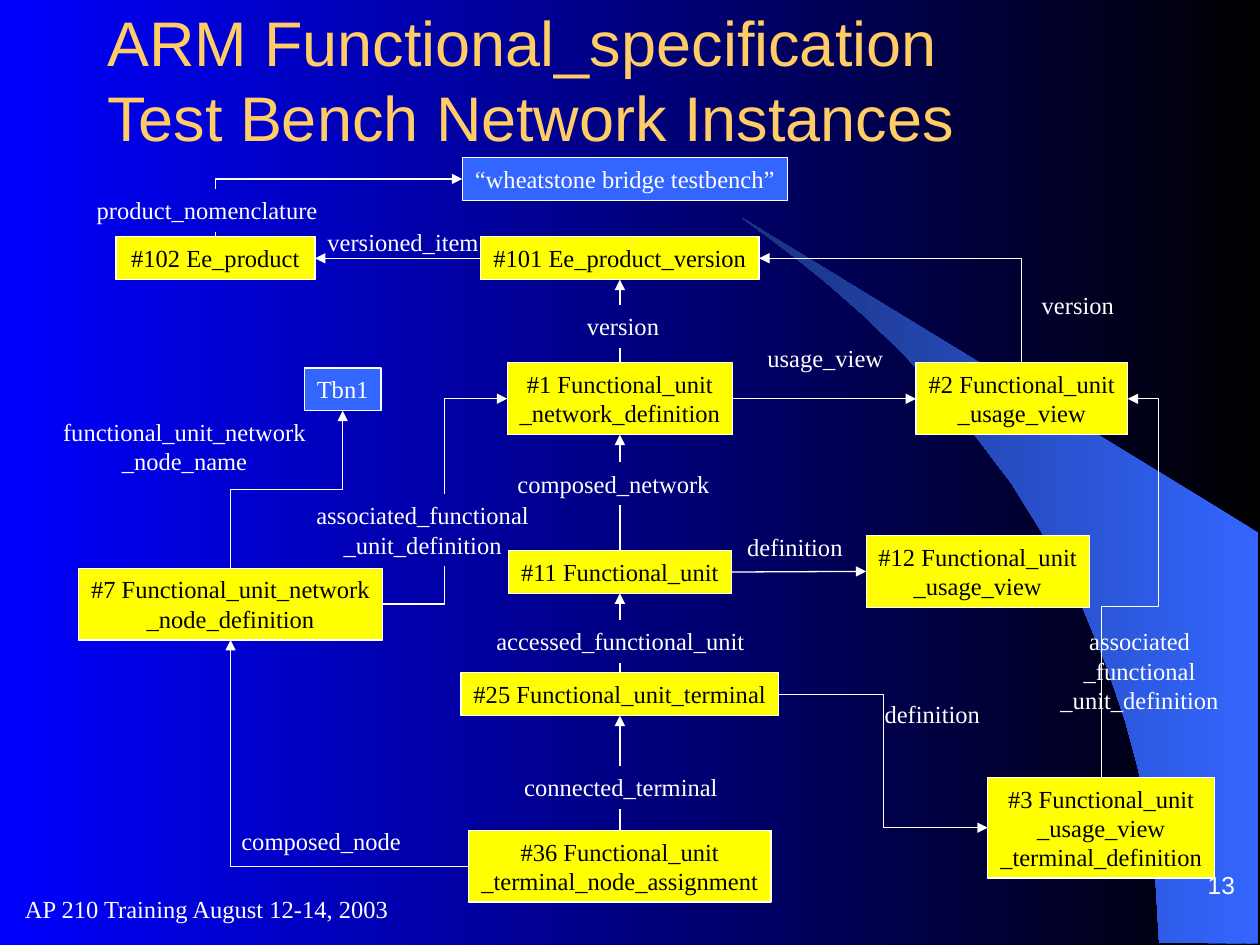
from lxml.etree import SubElement
from pptx import Presentation
from pptx.dml.color import RGBColor
from pptx.enum.shapes import MSO_CONNECTOR, MSO_SHAPE
from pptx.enum.text import MSO_ANCHOR, MSO_AUTO_SIZE, PP_ALIGN
from pptx.oxml.ns import qn
from pptx.util import Inches, Pt

TITLE = "ARM Functional_specification\nTest Bench Network Instances"
FOOTER = "AP 210 Training August 12-14, 2003"
PAGE = "13"

YELLOW, BLUE, WHITE, BLACK = "FFFF00", "3366FF", "FFFFFF", "000000"
SERIF = "Times New Roman"
SPINE = 4.92  # centre of the middle column

# key: text, centre x, top, width, fill, text colour
NODES = {
    "name": ("“wheatstone bridge testbench”", 4.96, 1.25, 2.58, BLUE, WHITE),
    "102": ("#102 Ee_product", 1.71, 1.88, 1.58, YELLOW, BLACK),
    "101": ("#101 Ee_product_version", SPINE, 1.88, 2.21, YELLOW, BLACK),
    "Tbn1": ("Tbn1", 2.72, 2.92, 0.61, BLUE, WHITE),
    "1": ("#1 Functional_unit\n_network_definition", SPINE, 2.88, 1.79, YELLOW, BLACK),
    "2": ("#2 Functional_unit\n_usage_view", 8.11, 2.88, 1.68, YELLOW, BLACK),
    "7": ("#7 Functional_unit_network\n_node_definition", 1.83, 4.51, 2.41, YELLOW, BLACK),
    "11": ("#11 Functional_unit", SPINE, 4.37, 1.77, YELLOW, BLACK),
    "12": ("#12 Functional_unit\n_usage_view", 7.76, 4.25, 1.77, YELLOW, BLACK),
    "25": ("#25 Functional_unit_terminal", SPINE, 5.34, 2.52, YELLOW, BLACK),
    "3": ("#3 Functional_unit\n_usage_view\n_terminal_definition", 8.74, 6.17, 1.8, YELLOW, BLACK),
    "36": ("#36 Functional_unit\n_terminal_node_assignment", SPINE, 6.59, 2.4, YELLOW, BLACK),
}

# connection sites of a rectangle
TOP, LEFT, BOTTOM, RIGHT = range(4)

# from, site, to, site, bends (0 is straight), adjustments
LINKS = [
    ("102", TOP, "name", LEFT, 1, ()),
    ("101", LEFT, "102", RIGHT, 0, ()),
    ("1", TOP, "101", BOTTOM, 0, ()),
    ("2", TOP, "101", RIGHT, 1, ()),
    ("1", RIGHT, "2", LEFT, 0, ()),
    ("11", TOP, "1", BOTTOM, 0, ()),
    ("11", RIGHT, "12", LEFT, 0, ()),
    ("7", TOP, "Tbn1", BOTTOM, 2, ()),
    ("7", RIGHT, "1", LEFT, 2, ()),
    ("25", TOP, "11", BOTTOM, 0, ()),
    ("25", RIGHT, "3", LEFT, 2, ()),
    ("3", TOP, "2", RIGHT, 3, (45200, 218000)),
    ("36", TOP, "25", BOTTOM, 0, ()),
    ("36", LEFT, "7", BOTTOM, 1, ()),
]

# text, left, top, width, whether it hides the line behind it
LABELS = [
    ("product_nomenclature", 0.67, 1.5, 1.95, True),
    ("versioned_item", 2.5, 1.75, 1.4, False),
    ("version", 4.56, 2.42, 0.77, True),
    ("version", 8.17, 2.25, 0.77, False),
    ("usage_view", 5.99, 2.67, 1.12, False),
    ("functional_unit_network\n_node_name", 0.4, 3.26, 2.13, False),
    ("associated_functional\n_unit_definition", 2.41, 3.92, 1.89, True),
    ("composed_network", 4.01, 3.67, 1.72, True),
    ("definition", 5.83, 4.17, 0.96, False),
    ("accessed_functional_unit", 3.84, 4.92, 2.17, True),
    ("associated\n_functional\n_unit_definition", 8.32, 4.92, 1.45, False),
    ("definition", 6.92, 5.5, 0.96, False),
    ("connected_terminal", 4.06, 6.08, 1.74, True),
    ("composed_node", 1.82, 6.51, 1.46, False),
]

SWOOSH = [
    (9.2, 7.48), (9.99, 7.49), (9.99, 4.23), (5.89, 1.73), (6.24, 1.99), (6.53, 2.22),
    (6.85, 2.5), (7.16, 2.8), (7.62, 3.3), (8.03, 3.84), (8.32, 4.31), (8.58, 4.79),
    (8.78, 5.28), (8.93, 5.72), (9.03, 6.09), (9.13, 6.56), (9.17, 6.96),
]


def rgb(hex_code):
    return RGBColor.from_string(hex_code)


def set_gradient(fill, right, left):
    fill.gradient()
    fill.gradient_angle = 180
    for stop, color, position in zip(fill.gradient_stops, (right, left), (0, 1)):
        stop.color.rgb = rgb(color)
        stop.position = position


def write(shape, text, color=WHITE, size=14, font=SERIF, align=PP_ALIGN.CENTER,
          anchor=MSO_ANCHOR.TOP, wrap=False):
    frame = shape.text_frame
    frame.text = text.replace("\n", "\v")
    frame.auto_size = MSO_AUTO_SIZE.NONE
    frame.word_wrap = wrap
    frame.vertical_anchor = anchor
    frame.margin_left = frame.margin_right = Inches(0.1)
    frame.margin_top = frame.margin_bottom = Inches(0.05)
    paragraph = frame.paragraphs[0]
    paragraph.alignment = align
    paragraph.font.size = Pt(size)
    paragraph.font.name = font
    paragraph.font.color.rgb = rgb(color)


def text_height(text):
    return 0.11 + 0.23 * len(text.split("\n"))


def box(left, top, width, height):
    return [Inches(value) for value in (left, top, width, height)]


def add_node(shapes, text, center, top, width, fill, color):
    node = shapes.add_shape(MSO_SHAPE.RECTANGLE,
                            *box(center - width / 2, top, width, text_height(text)))
    node.shadow.inherit = False
    node.fill.solid()
    node.fill.fore_color.rgb = rgb(fill)
    node.line.color.rgb = rgb(WHITE)
    node.line.width = Pt(0.75)
    write(node, text, color)
    return node


def add_link(shapes, start, start_site, end, end_site, bends, adjustments):
    kind = MSO_CONNECTOR.ELBOW if bends else MSO_CONNECTOR.STRAIGHT
    link = shapes.add_connector(kind, 0, 0, 0, 0)
    link.begin_connect(start, start_site)
    link.end_connect(end, end_site)
    properties = link._element.spPr
    if bends:
        geometry = properties.find(qn("a:prstGeom"))
        geometry.set("prst", f"bentConnector{bends + 1}")
        guides = geometry.find(qn("a:avLst"))
        for number, value in enumerate(adjustments, 1):
            SubElement(guides, qn("a:gd"), name=f"adj{number}", fmla=f"val {value}")
        if start_site == TOP:
            # an elbow that leaves upwards is a sideways one turned by 270 degrees
            across, rise = link.end_x - link.begin_x, link.begin_y - link.end_y
            middle_x = (link.begin_x + link.end_x) // 2
            middle_y = (link.begin_y + link.end_y) // 2
            link.begin_x, link.begin_y = middle_x - rise // 2, middle_y - across // 2
            link.end_x, link.end_y = middle_x + rise // 2, middle_y + across // 2
            link.rotation = 270
    link.line.color.rgb = rgb(WHITE)
    link.line.width = Pt(0.75)
    SubElement(properties.find(qn("a:ln")), qn("a:tailEnd"), type="triangle")
    SubElement(properties, qn("a:effectLst"))


def add_label(shapes, text, left, top, width, hides_line):
    label = shapes.add_textbox(*box(left, top, width, text_height(text)))
    write(label, text)
    if hides_line:
        # fill with the slide background
        properties = label._element.spPr
        properties.remove(properties.find(qn("a:noFill")))
        label._element.set("useBgFill", "1")


def main():
    deck = Presentation()
    deck.slide_width, deck.slide_height = Inches(10), Inches(7.5)
    slide = deck.slides.add_slide(deck.slide_layouts[5])
    shapes = slide.shapes

    # Background and swoosh
    set_gradient(slide.background.fill, BLACK, "0000FF")
    points = [(Inches(x), Inches(y)) for x, y in SWOOSH]
    outline = shapes.build_freeform(*points[0])
    outline.add_line_segments(points[1:], close=True)
    swoosh = outline.convert_to_shape()
    swoosh.shadow.inherit = False
    swoosh.line.fill.background()
    set_gradient(swoosh.fill, BLUE, "19327E")

    # Title
    title = shapes.title
    title.left, title.top, title.width, title.height = box(0.75, 0, 8.5, 1.25)
    write(title, TITLE, "FFCC66", 36, "Arial", PP_ALIGN.LEFT, MSO_ANCHOR.MIDDLE, True)

    # Diagram: links lie under labels, labels under nodes
    nodes = {key: add_node(shapes, *node) for key, node in NODES.items()}
    for start, start_site, end, end_site, bends, adjustments in LINKS:
        add_link(shapes, nodes[start], start_site, nodes[end], end_site, bends, adjustments)
    for label in LABELS:
        add_label(shapes, *label)
    for node in nodes.values():
        shapes._spTree.append(node._element)

    # Footer and page number
    footer = shapes.add_textbox(*box(0.1, 6.96, 4.67, 0.5))
    write(footer, FOOTER, align=PP_ALIGN.LEFT, anchor=MSO_ANCHOR.MIDDLE, wrap=True)
    page = shapes.add_textbox(*box(7.85, 6.72, 2.05, 0.42))
    write(page, PAGE, font="Arial", align=PP_ALIGN.RIGHT, anchor=MSO_ANCHOR.BOTTOM, wrap=True)
    page.text_frame.margin_top = page.text_frame.margin_bottom = 0

    deck.save("out.pptx")


if __name__ == "__main__":
    main()
